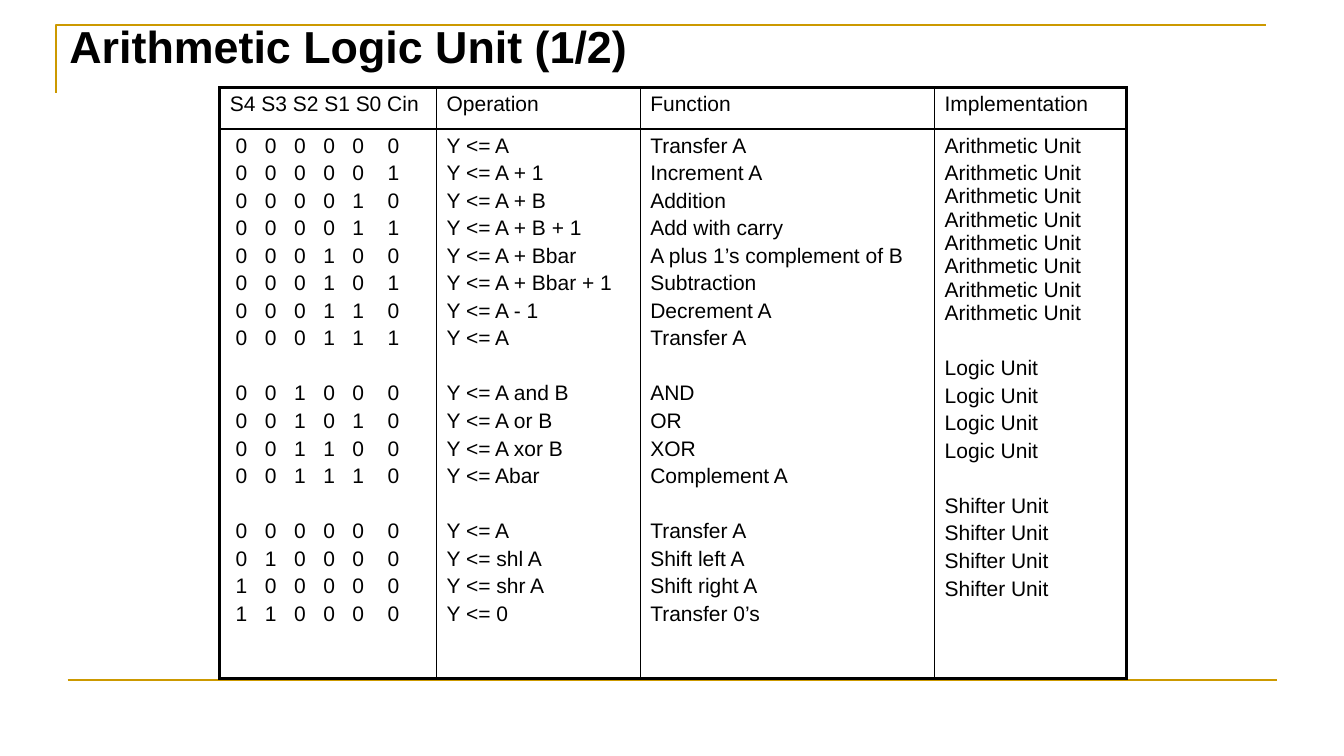
import pptx
import pptx.dml.color
import pptx.enum.shapes
import pptx.enum.text
import pptx.oxml
import pptx.oxml.ns
import pptx.util
from pptx.util import Inches

BLACK = pptx.dml.color.RGBColor(0x00, 0x00, 0x00)
GOLD = pptx.dml.color.RGBColor(0xCC, 0x99, 0x00)
FONT = "Arial"
THIN, THICK = 1, 2.25
LINE_GAP, GROUP_GAP = 3, 22.7
BIT_TABS = [25.02, 45.87, 66.72, 87.57, 112.59]

HEADINGS = ["S4 S3 S2 S1 S0 Cin", "Operation", "Function", "Implementation"]
GROUPS = [
    ("Arithmetic Unit", [
        ("000000", "Y <= A", "Transfer A"),
        ("000001", "Y <= A + 1", "Increment A"),
        ("000010", "Y <= A + B", "Addition"),
        ("000011", "Y <= A + B + 1", "Add with carry"),
        ("000100", "Y <= A + Bbar", "A plus 1’s complement of B"),
        ("000101", "Y <= A + Bbar + 1", "Subtraction"),
        ("000110", "Y <= A - 1", "Decrement A"),
        ("000111", "Y <= A", "Transfer A"),
    ]),
    ("Logic Unit", [
        ("001000", "Y <= A and B", "AND"),
        ("001010", "Y <= A or B", "OR"),
        ("001100", "Y <= A xor B", "XOR"),
        ("001110", "Y <= Abar", "Complement A"),
    ]),
    ("Shifter Unit", [
        ("000000", "Y <= A", "Transfer A"),
        ("010000", "Y <= shl A", "Shift left A"),
        ("100000", "Y <= shr A", "Shift right A"),
        ("110000", "Y <= 0", "Transfer 0’s"),
    ]),
]


def add_text(paragraph, text, size, bold=False):
    run = paragraph.add_run()
    run.text = text
    run.font.name = FONT
    run.font.size = pptx.util.Pt(size)
    run.font.bold = bold
    run.font.color.rgb = BLACK


def add_border(cell, side, points):
    """Draw one black cell edge; side is L, R, T or B."""
    cell._tc.get_or_add_tcPr().append(pptx.oxml.parse_xml(
        f'<a:ln{side} {pptx.oxml.ns.nsdecls("a")} w="{pptx.util.Pt(points)}">'
        f'<a:solidFill><a:srgbClr val="{BLACK}"/></a:solidFill></a:ln{side}>'))


prs = pptx.Presentation()
prs.slide_width = Inches(13.33)
prs.slide_height = Inches(7.5)
slide = prs.slides.add_slide(prs.slide_layouts[6])

# Gold frame
outline = slide.shapes.build_freeform(Inches(0.56), Inches(0.92))
outline.add_line_segments(
    [(Inches(0.56), Inches(0.25)), (Inches(12.56), Inches(0.25))], close=False)
corner = outline.convert_to_shape()
corner.shadow.inherit = False
corner.fill.background()
footer_rule = slide.shapes.add_connector(
    pptx.enum.shapes.MSO_CONNECTOR.STRAIGHT,
    Inches(0.67), Inches(6.75), Inches(12.67), Inches(6.75))
footer_rule._element.spPr.append(
    pptx.oxml.parse_xml(f'<a:effectLst {pptx.oxml.ns.nsdecls("a")}/>'))
for rule in (corner, footer_rule):
    rule.line.color.rgb = GOLD
    rule.line.width = pptx.util.Pt(1.5)

# Title
title = slide.shapes.add_textbox(Inches(0.59), Inches(0.14), Inches(5.9), Inches(0.64))
title.text_frame.word_wrap = False
title.text_frame.auto_size = pptx.enum.text.MSO_AUTO_SIZE.SHAPE_TO_FIT_TEXT
add_text(title.text_frame.paragraphs[0], "Arithmetic Logic Unit (1/2)", 32, bold=True)

# Function table: each column is a list of (text, space before)
columns = [[] for _ in HEADINGS]
for unit, operations in GROUPS:
    for index, (code, operation, function) in enumerate(operations):
        gap = GROUP_GAP if index == 0 else LINE_GAP
        bits = " " + "\t".join(code)
        for column, text in zip(columns, (bits, operation, function, unit)):
            column.append((text, gap))

# The arithmetic entries after the first wrap as a single paragraph
unit, operations = GROUPS[0]
count = len(operations)
columns[3][1:count] = [(" ".join([unit] * (count - 1)), LINE_GAP)]

alu_table = slide.shapes.add_table(
    2, 4, Inches(2.18), Inches(0.87), Inches(8.99), Inches(5.86)).table
alu_table.first_row = False
alu_table.horz_banding = False
for column, width in zip(alu_table.columns, (2.15, 2.02, 2.92, 1.9)):
    column.width = Inches(width)
for row, height in zip(alu_table.rows, (0.41, 5.45)):
    row.height = Inches(height)

for col, heading in enumerate(HEADINGS):
    for row, lines in enumerate(([(heading, 0)], columns[col])):
        cell = alu_table.cell(row, col)
        add_border(cell, "L", THICK if col == 0 else THIN)
        add_border(cell, "R", THICK if col == 3 else THIN)
        add_border(cell, "T", THICK if row == 0 else THIN)
        add_border(cell, "B", THICK if row == 1 else THIN)
        cell.fill.background()
        for index, (text, gap) in enumerate(lines):
            frame = cell.text_frame
            paragraph = frame.add_paragraph() if index else frame.paragraphs[0]
            paragraph.space_before = pptx.util.Pt(gap if index else 0)
            if "\t" in text:
                stops = "".join(
                    f'<a:tab pos="{pptx.util.Pt(stop)}" algn="l"/>' for stop in BIT_TABS)
                paragraph._p.get_or_add_pPr().append(pptx.oxml.parse_xml(
                    f'<a:tabLst {pptx.oxml.ns.nsdecls("a")}>{stops}</a:tabLst>'))
            add_text(paragraph, text, 15)

prs.save("out.pptx")
